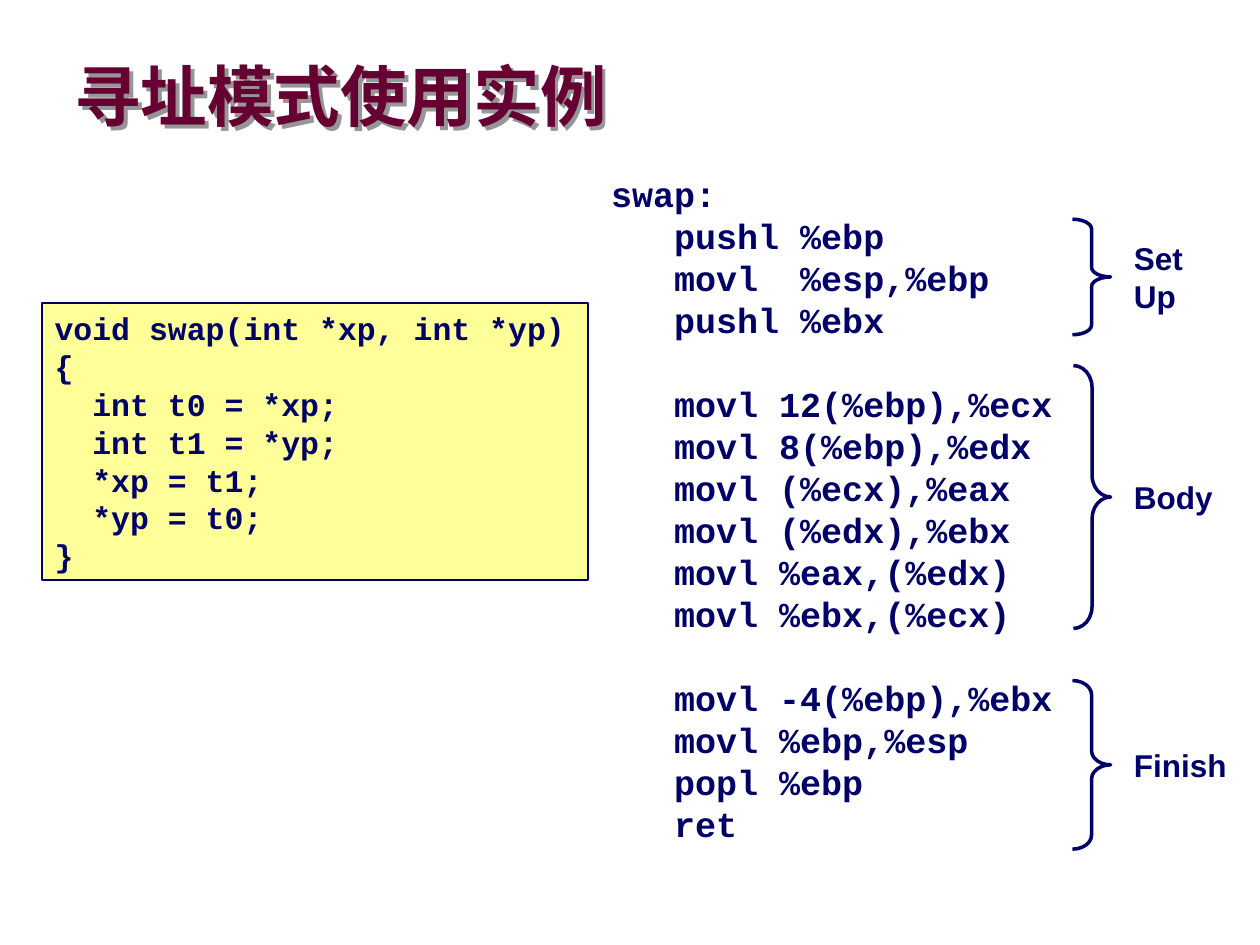
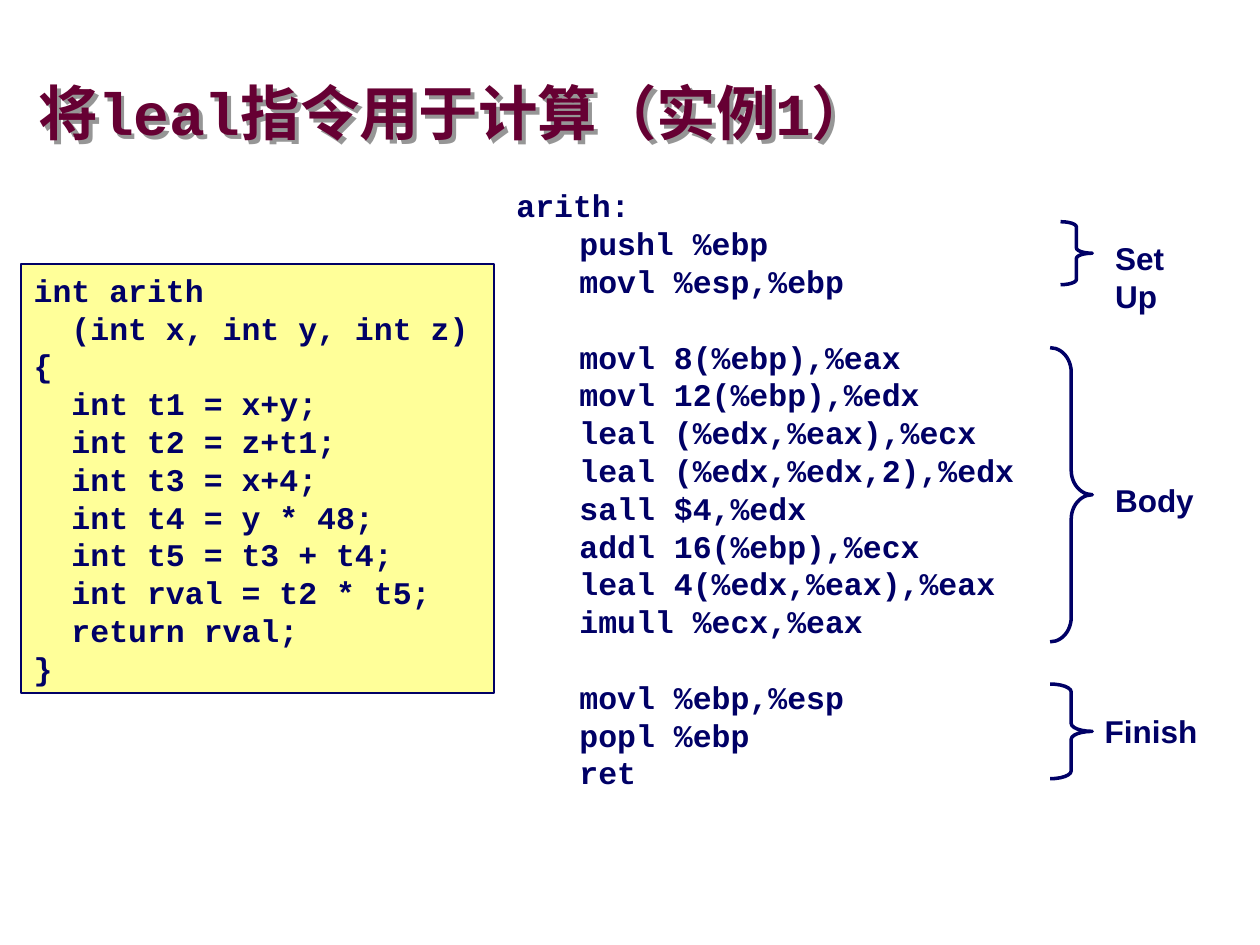
import pptx
import pptx.util
import pptx.dml.color
import pptx.enum.lang
import pptx.enum.shapes
import pptx.enum.text
import lxml.etree
from pptx.util import Cm, Pt

RGBColor = pptx.dml.color.RGBColor
MAROON = RGBColor(0x66, 0x00, 0x33)
NAVY = RGBColor(0x00, 0x00, 0x66)
PALE_YELLOW = RGBColor(0xFF, 0xFF, 0x99)
SHADOW_GRAY = RGBColor(0x96, 0x96, 0x96)

CODE_FONT = "Courier New"
LABEL_FONT = "Arial"
BODY_SIZE = 18
LINE_HEIGHT = 1.2               # line pitch as a multiple of the text size
INSTRUCTION_INDENT = Cm(1.27)
CODE_INDENT = Pt(BODY_SIZE * 1.2)    # two characters of the code font
A_NS = "http://schemas.openxmlformats.org/drawingml/2006/main"


def add_run(paragraph, text, font_name, size, color):
    run = paragraph.add_run()
    run.text = text
    run.font.name = font_name
    run.font.size = Pt(size)
    run.font.bold = True
    run.font.color.rgb = color
    return run


def prepare_frame(shape, inset_x=0.25, inset_y=0.13):
    frame = shape.text_frame
    frame.word_wrap = True
    frame.margin_left = frame.margin_right = Cm(inset_x)
    frame.margin_top = frame.margin_bottom = Cm(inset_y)
    frame.vertical_anchor = pptx.enum.text.MSO_ANCHOR.TOP
    return frame


def add_line(frame, text, font_name, size, indent=0, gap_before=False):
    """Add one line of text; a gap is one line high."""
    first = not frame.paragraphs[0].runs
    paragraph = frame.paragraphs[0] if first else frame.add_paragraph()
    paragraph.alignment = pptx.enum.text.PP_ALIGN.LEFT
    paragraph.line_spacing = Pt(size * LINE_HEIGHT)
    if gap_before:
        paragraph.space_before = Pt(size * LINE_HEIGHT)
    if indent:
        properties = paragraph._p.get_or_add_pPr()
        properties.set("marL", str(int(indent)))
        properties.set("indent", "0")
    add_run(paragraph, text, font_name, size, NAVY)


def add_drop_shadow(shape):
    """Shadow of an unfilled box, which falls from its text."""
    shape.shadow.inherit = False
    effects = shape._element.spPr.find(f"{{{A_NS}}}effectLst")
    shadow = lxml.etree.SubElement(
        effects, f"{{{A_NS}}}outerShdw", dist=str(int(Pt(3.2))),
        dir="2700000", algn="tl", rotWithShape="0")
    lxml.etree.SubElement(shadow, f"{{{A_NS}}}srgbClr", val=str(SHADOW_GRAY))


def add_title(slide, box, text, font_name, size):
    title = slide.shapes.add_textbox(*map(Cm, box))
    add_drop_shadow(title)
    frame = prepare_frame(title, 0, 0)
    frame.vertical_anchor = pptx.enum.text.MSO_ANCHOR.MIDDLE
    paragraph = frame.paragraphs[0]
    paragraph.line_spacing = 0.87
    run = add_run(paragraph, text, font_name, size, MAROON)
    run.font.language_id = pptx.enum.lang.MSO_LANGUAGE_ID.SIMPLIFIED_CHINESE


def add_source_code(slide, box, lines):
    """Yellow C listing; each line is (indent level, text)."""
    panel = slide.shapes.add_shape(
        pptx.enum.shapes.MSO_SHAPE.RECTANGLE, *map(Cm, box))
    panel.shadow.inherit = False
    panel.fill.solid()
    panel.fill.fore_color.rgb = PALE_YELLOW
    panel.line.color.rgb = NAVY
    panel.line.width = Pt(1)
    frame = prepare_frame(panel)
    for level, text in lines:
        add_line(frame, text, CODE_FONT, BODY_SIZE, level * CODE_INDENT)


def add_assembly(slide, box, label, sections, size):
    """Label followed by indented sections, a line's gap between sections."""
    frame = prepare_frame(slide.shapes.add_textbox(*map(Cm, box)))
    add_line(frame, label, CODE_FONT, size)
    for number, section in enumerate(sections):
        for row, instruction in enumerate(section):
            add_line(frame, instruction, CODE_FONT, size, INSTRUCTION_INDENT,
                     gap_before=number > 0 and row == 0)


def add_stage(slide, brace_box, label_box, lines):
    """Brace around a section with the name of its stage."""
    brace = slide.shapes.add_shape(
        pptx.enum.shapes.MSO_SHAPE.RIGHT_BRACE, *map(Cm, brace_box))
    brace.shadow.inherit = False
    brace.fill.background()
    brace.line.color.rgb = NAVY
    brace.line.width = Pt(2)
    width, height = brace_box[2:]
    brace.adjustments[0] = height / 12 / min(width, height)
    frame = prepare_frame(slide.shapes.add_textbox(*map(Cm, label_box)))
    for text in lines:
        add_line(frame, text, LABEL_FONT, BODY_SIZE)


def add_stages(slide, brace_boxes, label_corners):
    names = [(["Set", "Up"], 1.65, 1.78), (["Body"], 2.25, 1.02),
             (["Finish"], 2.55, 1.02)]
    for (lines, width, height), brace_box, corner in zip(
            names, brace_boxes, label_corners):
        add_stage(slide, brace_box, (*corner, width, height), lines)


def build_swap_slide(slide):
    add_title(slide, (1.5, 1.24, 21.26, 1.6), "寻址模式使用实例", LABEL_FONT, 38)
    add_source_code(slide, (0.85, 6.11, 11, 5.59), [
        (0, "void swap(int *xp, int *yp)"),
        (0, "{"),
        (1, "int t0 = *xp;"),
        (1, "int t1 = *yp;"),
        (1, "*xp = t1;"),
        (1, "*yp = t0;"),
        (0, "}"),
    ])
    add_assembly(slide, (12.07, 3.35, 10.16, 13.79), "swap:", [
        ["pushl %ebp", "movl  %esp,%ebp", "pushl %ebx"],
        ["movl 12(%ebp),%ecx", "movl 8(%ebp),%edx", "movl (%ecx),%eax",
         "movl (%edx),%ebx", "movl %eax,(%edx)", "movl %ebx,(%ecx)"],
        ["movl -4(%ebp),%ebx", "movl %ebp,%esp", "popl %ebp", "ret"],
    ], 20)
    add_stages(
        slide,
        [(21.62, 4.42, 0.77, 2.33), (21.64, 7.37, 0.75, 5.3),
         (21.62, 13.72, 0.77, 3.4)],
        [(22.61, 4.69), (22.61, 9.5), (22.61, 14.91)])


def build_arith_slide(slide):
    add_title(slide, (0.78, 1.3, 23.77, 2.11), "将leal指令用于计算（实例1）",
              CODE_FONT, 34)
    add_source_code(slide, (0.43, 5.33, 9.53, 8.64), [
        (0, "int arith"),
        (1, "(int x, int y, int z)"),
        (0, "{"),
        (1, "int t1 = x+y;"),
        (1, "int t2 = z+t1;"),
        (1, "int t3 = x+4;"),
        (1, "int t4 = y * 48;"),
        (1, "int t5 = t3 + t4;"),
        (1, "int rval = t2 * t5;"),
        (1, "return rval;"),
        (0, "}"),
    ])
    add_assembly(slide, (10.16, 3.63, 11.43, 12.45), "arith:", [
        ["pushl %ebp", "movl %esp,%ebp"],
        ["movl 8(%ebp),%eax", "movl 12(%ebp),%edx", "leal (%edx,%eax),%ecx",
         "leal (%edx,%edx,2),%edx", "sall $4,%edx", "addl 16(%ebp),%ecx",
         "leal 4(%edx,%eax),%eax", "imull %ecx,%eax"],
        ["movl %ebp,%esp", "popl %ebp", "ret"],
    ], BODY_SIZE)
    add_stages(
        slide,
        [(21.38, 4.47, 0.64, 1.27), (21.17, 7.01, 0.85, 5.93),
         (21.17, 13.79, 0.85, 1.91)],
        [(22.23, 4.69), (22.23, 9.56), (22.02, 14.22)])


def main():
    deck = pptx.Presentation()
    deck.slide_width = Cm(25.4)
    deck.slide_height = Cm(19.05)
    blank = deck.slide_layouts[6]
    for build in (build_swap_slide, build_arith_slide):
        build(deck.slides.add_slide(blank))
    deck.save("out.pptx")


if __name__ == "__main__":
    main()
